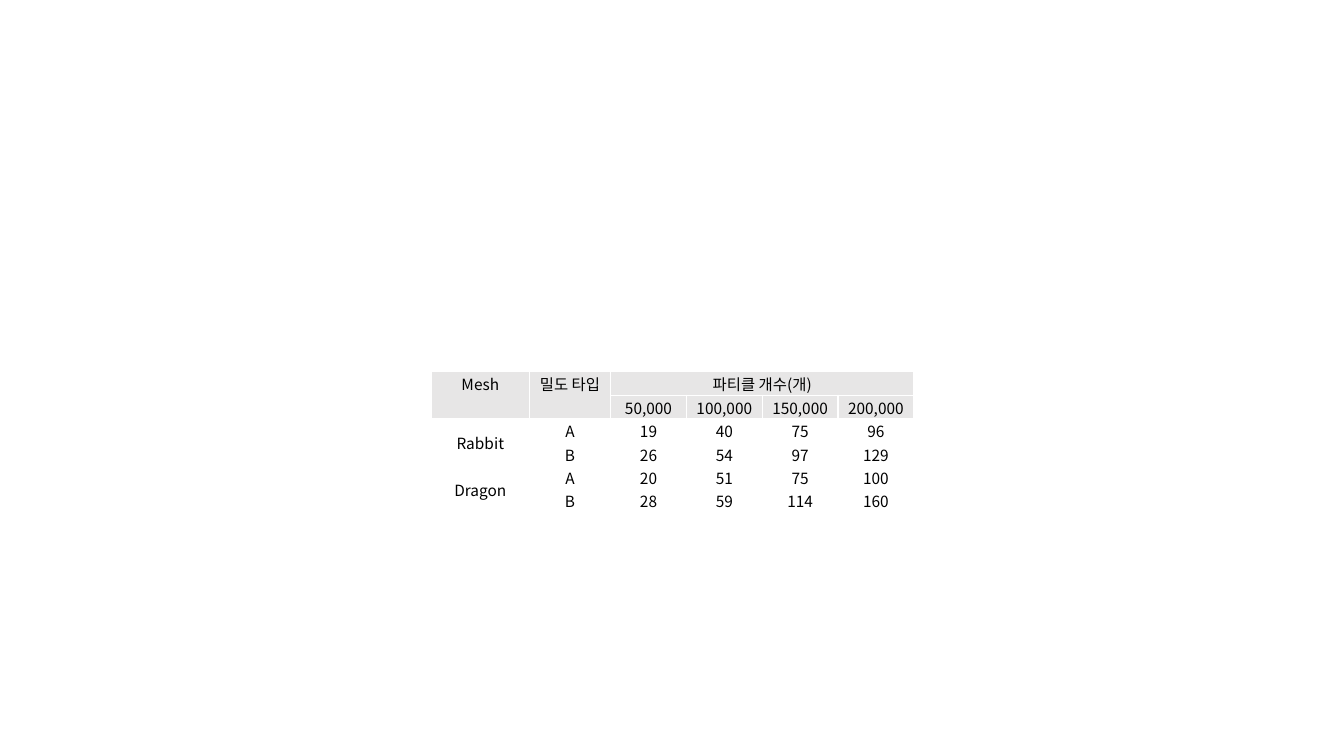
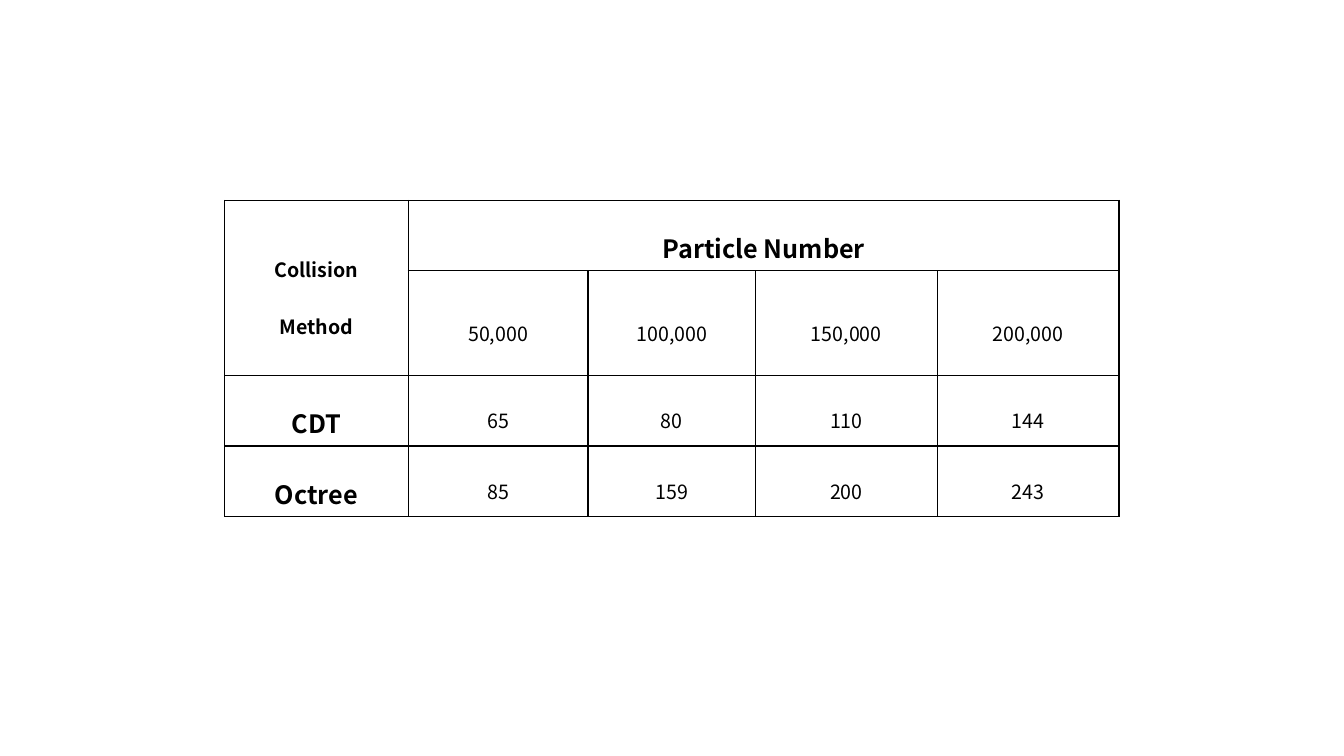
"""Build two slides with tables of particle simulation timings."""
from dataclasses import dataclass, field
from typing import Any

from lxml.etree import SubElement
from pptx import Presentation
from pptx.dml.color import RGBColor
from pptx.enum.text import MSO_ANCHOR, PP_ALIGN
from pptx.oxml.ns import qn
from pptx.util import Cm, Pt

BLACK = RGBColor(0x00, 0x00, 0x00)
WHITE = RGBColor(0xFF, 0xFF, 0xFF)
HEADER_GREY = RGBColor(0xE7, 0xE6, 0xE6)
FONT = "Noto Sans CJK KR"
COUNTS = ("50,000", "100,000", "150,000", "200,000")
CELL_FORMAT = {
    "margin_left": Cm(0.02),
    "margin_right": Cm(0.02),
    "margin_top": Cm(0.02),
    "margin_bottom": Cm(0),
    "vertical_anchor": MSO_ANCHOR.MIDDLE,
}


@dataclass(frozen=True)
class Timings:
    """A table of timings; None marks a cell covered by a span."""

    left: float
    top: float
    widths: tuple[float, ...]
    heights: tuple[float, ...]
    rows: tuple[tuple[str | None, ...], ...]
    spans: tuple[tuple[int, int, int, int], ...]
    border: RGBColor
    size: float
    shaded_rows: int = 0
    top_cells: tuple[tuple[int, int], ...] = ()
    paragraph_format: dict[str, Any] = field(default_factory=dict)
    headings: dict[str, float] = field(default_factory=dict)


DENSITY = Timings(
    left=10.87,
    top=9.37,
    widths=(2.47, 2.05) + (1.91,) * 4,
    heights=(0.59,) * 6,
    rows=(
        ("Mesh", "밀도 타입", "파티클 개수(개)", None, None, None),
        (None, None, *COUNTS),
        ("Rabbit", "A", "19", "40", "75", "96"),
        (None, "B", "26", "54", "97", "129"),
        ("Dragon", "A", "20", "51", "75", "100"),
        (None, "B", "28", "59", "114", "160"),
    ),
    spans=((0, 0, 1, 0), (0, 1, 1, 1), (0, 2, 0, 5), (2, 0, 3, 0), (4, 0, 5, 0)),
    border=WHITE,
    size=11,
    shaded_rows=2,
    top_cells=((0, 0), (0, 1)),
)
COLLISION = Timings(
    left=5.66,
    top=5.05,
    widths=(4.63, 4.53, 4.22, 4.58, 4.58),
    heights=(1.77, 1.25, 1.77, 1.77),
    rows=(
        ("Collision\nMethod", "Particle Number", None, None, None),
        (None, *COUNTS),
        ("CDT", "65", "80", "110", "144"),
        ("Octree", "85", "159", "200", "243"),
    ),
    spans=((0, 0, 1, 0), (0, 1, 0, 4)),
    border=BLACK,
    size=14,
    paragraph_format={"line_spacing": 1.63, "space_after": Pt(8)},
    headings={"Collision\nMethod": 14, "Particle Number": 18, "CDT": 18, "Octree": 18},
)


def apply(target: Any, values: dict[str, Any]) -> None:
    """Set each named attribute on the target."""
    for name, value in values.items():
        setattr(target, name, value)


def add_borders(cell: Any, color: RGBColor) -> None:
    """Draw a one-point line on each side of a cell."""
    properties = cell._tc.get_or_add_tcPr()
    for side in ("lnL", "lnR", "lnT", "lnB"):
        line = SubElement(properties, qn(f"a:{side}"), w=str(Pt(1)))
        fill = SubElement(line, qn("a:solidFill"))
        SubElement(fill, qn("a:srgbClr"), val=str(color))


def write_text(cell: Any, text: str, timings: Timings) -> None:
    """Write centred text, one paragraph a line."""
    cell.text_frame.text = text
    font_format = {
        "name": FONT,
        "size": Pt(timings.headings.get(text, timings.size)),
        "bold": text in timings.headings,
    }
    for paragraph in cell.text_frame.paragraphs:
        apply(paragraph, {"alignment": PP_ALIGN.CENTER, **timings.paragraph_format})
        for run in paragraph.runs:
            apply(run.font, font_format)
            run.font.color.rgb = BLACK
            SubElement(run._r.get_or_add_rPr(), qn("a:ea"), typeface=FONT)


def add_timings(slide: Any, timings: Timings) -> None:
    """Add one table of timings to a slide."""
    table = slide.shapes.add_table(
        len(timings.heights), len(timings.widths),
        Cm(timings.left), Cm(timings.top),
        Cm(sum(timings.widths)), Cm(sum(timings.heights)),
    ).table
    apply(table, {"first_row": False, "horz_banding": False})
    for column, width in zip(table.columns, timings.widths):
        column.width = Cm(width)
    for row, height in zip(table.rows, timings.heights):
        row.height = Cm(height)
    for top, left, bottom, right in timings.spans:
        table.cell(top, left).merge(table.cell(bottom, right))
    for i, texts in enumerate(timings.rows):
        for j, text in enumerate(texts):
            cell = table.cell(i, j)
            apply(cell, CELL_FORMAT)
            if (i, j) in timings.top_cells:
                cell.vertical_anchor = MSO_ANCHOR.TOP
            add_borders(cell, timings.border)
            if i < timings.shaded_rows:
                cell.fill.solid()
                cell.fill.fore_color.rgb = HEADER_GREY
            else:
                cell.fill.background()
            if text is not None:
                write_text(cell, text, timings)


def main() -> None:
    """Build and save the presentation."""
    deck = Presentation()
    apply(deck, {"slide_width": Cm(33.87), "slide_height": Cm(19.05)})
    for timings in (DENSITY, COLLISION):
        add_timings(deck.slides.add_slide(deck.slide_layouts[6]), timings)
    deck.save("out.pptx")


if __name__ == "__main__":
    main()
